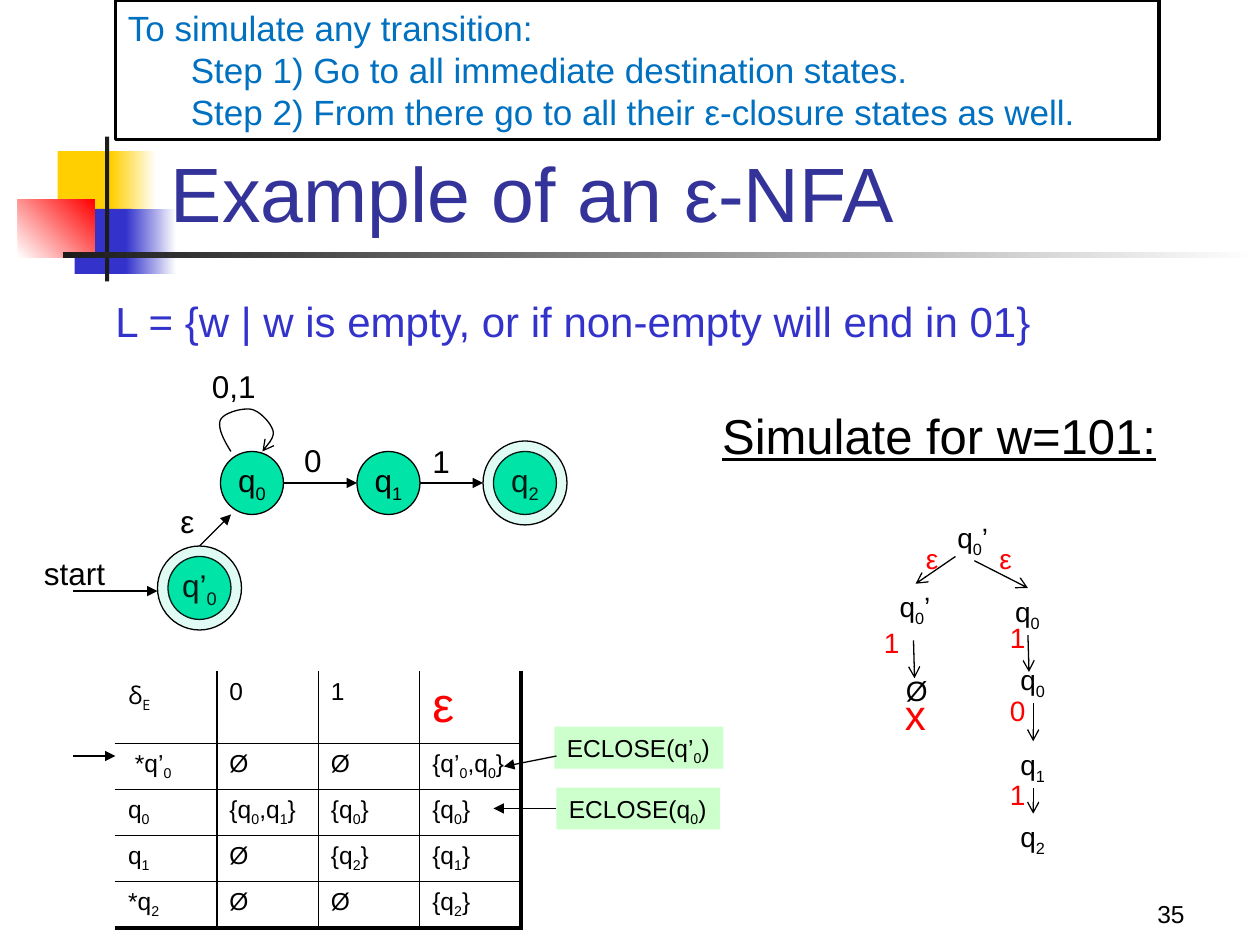
"""Builds the slide on an ε-NFA with its graph, table and run on 101."""
from lxml.etree import SubElement
from pptx import Presentation
from pptx.dml.color import RGBColor
from pptx.enum.shapes import MSO_CONNECTOR, MSO_SHAPE
from pptx.enum.text import MSO_ANCHOR, PP_ALIGN
from pptx.oxml.ns import qn
from pptx.util import Inches, Pt

RECT, OVAL, LINE = MSO_SHAPE.RECTANGLE, MSO_SHAPE.OVAL, MSO_CONNECTOR.STRAIGHT
TOP, MID, LOW = MSO_ANCHOR.TOP, MSO_ANCHOR.MIDDLE, MSO_ANCHOR.BOTTOM
LEFT, MIDST, RIGHT = PP_ALIGN.LEFT, PP_ALIGN.CENTER, PP_ALIGN.RIGHT


class Theme:
    """Holds the font, colours, type sizes and line widths."""
    font, greek = "Arial", "Open Sans"
    black, white, ink = "000000", "FFFFFF", "1C1C1C"
    gold, blue, red = "FFCF01", "3333CC", "FF0000"
    title, note, mint, pale = "333399", "0070C0", "00E4A8", "CCFFCC"
    huge, head, lead, top, state, step, small = 44, 28, 24, 20, 18, 16, 14
    thin, edge, thick, frame = 0.75, 1, 2.25, 2


T = Theme
COLS, ROWS = 120, 90
DECOR = [
    (5.5, 14.4, 5.8, 6.2, [T.gold], 0),
    (10.6, 14.4, 4.3, 6.2, [T.gold, T.white], 0),
    (7.1, 19.9, 5.5, 6.2, [T.blue], 0),
    (12, 19.9, 4.8, 6.2, [T.blue, T.white], 0),
    (1.7, 19, 7.3, 5.5, [T.white, T.red], 45),
    (10, 13, 0.4, 13.8, [T.ink], 0),
    (6, 24, 114, 0.6, [T.ink, T.white], 0),
]
GRID = [
    ["δ_E", "0", "1", "ε"],
    [" *q’_0", "Ø", "Ø", "{q’_0,q_0}"],
    ["q_0", "{q_0,q_1}", "{q_0}", "{q_0}"],
    ["q_1", "Ø", "{q_2}", "{q_1}"],
    ["*q_2", "Ø", "Ø", "{q_2}"],
]
STATES = [(21, 43, "q_0", False), (34, 43, "q_1", False),
          (47, 43, "q_2", True), (16, 53, "q’_0", True)]
LOOP = [(22, 43), (21.3, 41.9), (20.7, 40.7), (21, 40), (21.3, 39.3),
        (23.2, 38.8), (24, 39), (24.8, 39.2), (25.8, 40.3), (26, 41),
        (26.2, 41.7), (25.5, 42.3), (25, 43)]
LABELS = {
    (T.lead, T.blue): [
        (9.8, 27.6, 91.6, "L = {w | w is empty, or if non-empty will end in 01}")],
    (T.state, T.black): [
        (3, 52.2, 8.3, "start"), (27.8, 41.4, 4.1, "0"), (19, 34.4, 6.6, "0,1"),
        (40, 41.5, 4.1, "1"), (16, 47.2, 3.7, "ε")],
    (T.step, T.black): [
        (90, 49, 5.5, "q_0’"), (95.5, 56, 4.9, "q_0"), (84.5, 55.6, 5.5, "q_0’"),
        (96, 62.5, 4.9, "q_0"), (96, 70.6, 4.9, "q_1"), (96, 77.5, 4.9, "q_2"),
        (85.1, 63.6, 4.6, "Ø")],
    (T.step, T.red): [
        (94, 51, 3.6, "ε"), (87, 51, 3.6, "ε"), (95, 58.5, 4, "1"),
        (95, 65.5, 4, "0"), (95, 73.5, 4, "1"), (83, 59, 4, "1")],
    (T.lead, T.red): [(85, 65, 4.4, "x")],
}
ARROWS = {
    "triangle": [(7, 72, 11, 72), (53, 72, 48, 73), (7, 56.3, 15, 56.3),
                 (27, 46, 34, 46), (40, 46, 46, 46), (19, 52, 22, 49)],
    "arrow": [(91, 53, 87.2, 55.6), (92.8, 53.4, 97.9, 56), (97.9, 60.5, 98, 64),
              (98.4, 67, 98.4, 70.6), (98.4, 75, 98.4, 77.5), (87, 61, 87.1, 64.6)],
}
CLOSE = [(52.8, 69.2, 16.1, "ECLOSE(q’_0)"), (53, 75, 15.6, "ECLOSE(q_0)")]
STEPS = ["To simulate any transition:\v\tStep 1) Go to all immediate destination states.",
         "\tStep 2) From there go to all their ε-closure states as well."]

deck = Presentation()
deck.slide_width, deck.slide_height = Inches(10), Inches(7.5)
slide = deck.slides.add_slide(deck.slide_layouts[6])
shapes = slide.shapes
CELL = deck.slide_width // COLS


def cells(*nums):
    return [round(n * CELL) for n in nums]


def rgb(code):
    return RGBColor.from_string(code)


def tall(size):
    return (size * 1.2 + 7.2) / (540 / ROWS)


def sub(node, tag, **attrs):
    return SubElement(node, qn("a:" + tag), attrs)


def write(para, text, size, color, font=T.font):
    base, *rest = text.split("_")
    para.text = base
    for part in rest:
        low = para.add_run()
        low.text = part[0]
        low._r.get_or_add_rPr().set("baseline", "-25000")
        if part[1:]:
            para.add_run().text = part[1:]
    for run in para.runs:
        run.font.size, run.font.name = Pt(size), font
        run.font.color.rgb = rgb(color)


def space(para):
    sub(sub(para._p.get_or_add_pPr(), "spcBef"), "spcPct", val="20000")


def fill(frame, lines, size, color, wrap=False, anchor=TOP, align=LEFT):
    frame.word_wrap, frame.vertical_anchor = wrap, anchor
    for i, line in enumerate(lines):
        para = frame.add_paragraph() if i else frame.paragraphs[0]
        para.alignment = align
        write(para, line, size, color)
    return frame.paragraphs[0]


def label(box, text, size, color, **how):
    frame = shapes.add_textbox(*cells(*box)).text_frame
    return fill(frame, [text], size, color, **how)


def block(kind, box, paint, edge=None, turn=0):
    item = shapes.add_shape(kind, *cells(*box))
    item.shadow.inherit = False
    if len(paint) == 1:
        item.fill.solid()
        item.fill.fore_color.rgb = rgb(paint[0])
    else:
        item.fill.gradient()
        item.fill.gradient_angle = turn
        for i, stop in enumerate(item.fill.gradient_stops):
            stop.position, stop.color.rgb = i, rgb(paint[i])
    if edge:
        item.line.color.rgb, item.line.width = rgb(T.black), Pt(edge)
    else:
        item.line.fill.background()
    return item


def tip(item, kind):
    item.line.color.rgb, item.line.width = rgb(T.black), Pt(T.thin)
    sub(item.line._get_or_add_ln(), "tailEnd", type=kind)
    sub(item._element.spPr, "effectLst")


def arrow(ends, kind):
    item = shapes.add_connector(LINE, *cells(*ends))
    tip(item, kind)
    return item


def border(cell, side, width):
    line = sub(cell._tc.get_or_add_tcPr(), "ln" + side, w=str(Pt(width)))
    sub(sub(line, "solidFill"), "srgbClr", val=T.black)


def matrix():
    rows, cols = len(GRID), len(GRID[0])
    table = shapes.add_table(rows, cols, *cells(11, 64, 38.64, 20)).table
    table.first_row = table.horz_banding = False
    for r, line in enumerate(GRID):
        for c, text in enumerate(line):
            cell, big = table.cell(r, c), text == "ε"
            if c:
                border(cell, "L", T.edge)
            border(cell, "R", T.thick if c == cols - 1 else T.edge)
            if r:
                border(cell, "T", T.edge)
            border(cell, "B", T.thick if r == rows - 1 else T.edge)
            cell.fill.background()
            para = cell.text_frame.paragraphs[0]
            space(para)
            write(para, text, T.head if big else T.small, T.red if big else T.black,
                  T.greek if "δ" in text else T.font)


def curve(pts, n=12):
    out = []
    for k in range(0, len(pts) - 1, 3):
        for t in (i / n for i in range(1, n + 1)):
            mix = ((1 - t) ** 3, 3 * t * (1 - t) ** 2, 3 * t * t * (1 - t), t ** 3)
            out.append(cells(*(sum(m * p[d] for m, p in zip(mix, pts[k:k + 4]))
                               for d in (0, 1))))
    return out


for *box, paint, turn in DECOR:
    block(RECT, box, paint, turn=turn)
label((89, 83, 25, 6), "35", T.small, T.black, wrap=True, anchor=LOW, align=RIGHT)
label((15.1, 8.2, 102.2, 15), "Example of an ε-NFA", T.huge, T.title,
      wrap=True, anchor=LOW)
matrix()
for x, y, w, text in CLOSE:
    tag = block(RECT, (x, y, w, tall(T.small)), [T.pale])
    fill(tag.text_frame, [text], T.small, T.black)
arrow((53, 77, 47, 77), "triangle").begin_connect(tag, 1)
goal = label((67.6, 38, 50, 10), "Simulate for w=101:", T.head, T.black, wrap=True)
goal.runs[0].font.underline = True
space(goal)

for x, y, text, final in STATES:
    disc = block(OVAL, (x, y, 6, 6), [T.mint], T.thin)
    fill(disc.text_frame, [text], T.state, T.black, anchor=MID, align=MIDST)
    if final:
        ring = block(OVAL, (x - 1, y - 1, 8, 8), [T.mint], T.thin)
        tint = ring._element.spPr.find(qn("a:solidFill")).find(qn("a:srgbClr"))
        sub(tint, "alpha", val="12000")
pen = shapes.build_freeform(*cells(*LOOP[0]))
pen.add_line_segments(curve(LOOP), close=False)
loop = pen.convert_to_shape()
loop.fill.background()
tip(loop, "arrow")

for kind, ends in ARROWS.items():
    for end in ends:
        arrow(end, kind)
for (size, color), items in LABELS.items():
    for x, y, w, text in items:
        label((x, y, w, tall(size)), text, size, color)
card = block(RECT, (11, 0, 99.4, 13.3), [T.white], T.frame)
fill(card.text_frame, STEPS, T.top, T.note)
deck.save("out.pptx")
